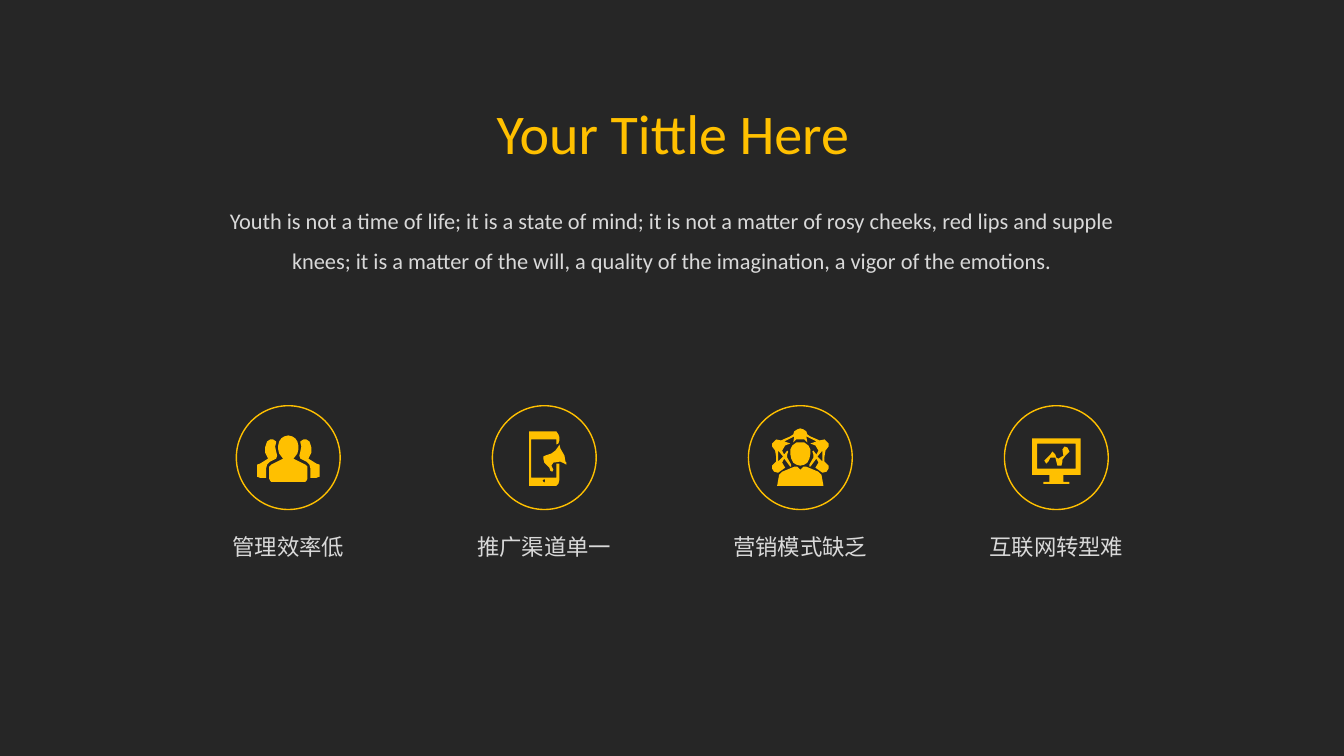
from dataclasses import dataclass

from lxml import etree
from pptx import Presentation
from pptx import util as u
from pptx.dml.color import RGBColor
from pptx.enum import shapes, text
from pptx.oxml import ns

Points = list[tuple[float, float]]
Outline = list[Points]  # the first contour is filled, the others are holes

CELL = u.Inches(0.1)  # columns and rows of the slide grid
ICON_UNIT = CELL / 10


@dataclass(frozen=True)
class Theme:
    background: RGBColor = RGBColor.from_string("262626")
    accent: RGBColor = RGBColor.from_string("FFC000")
    body: RGBColor = RGBColor.from_string("D9D9D9")
    latin_font: str = "Calibri"
    chinese_font: str = "Noto Sans CJK SC"
    title_size: int = 40
    body_size: int = 16


@dataclass(frozen=True)
class Problem:
    label: str
    icon: list[Outline]


THEME = Theme()
FIRST_CENTRE, CENTRE_STEP, CENTRE_ROW = 28.6, 25.4, 45.4
CIRCLE_SIZE = 10.3
LABEL_ROW, LABEL_WIDTH, LABEL_HEIGHT = 52.4, 21.2, 3.7


def flipped(points: Points) -> Points:
    return [(-x, y) for x, y in points]


def symmetric(half: Points) -> Points:
    """Close a right half, listed from top to bottom, with its mirror image."""
    return half + flipped(half)[::-1]


# Icon points are counted in icon units from the centre of the circle.
SIDE_PERSON = [(31, 19), (28, 20), (22, 20), (22, 11), (21, 7), (18, 4), (12, 1),
               (11, -2), (12, -6), (13, -11), (12, -15), (12, -16), (15, -18),
               (18, -18), (21, -16), (23, -10), (23, -5), (20, 1), (28, 6), (31, 7)]
FRONT_PERSON = symmetric([
    (0, -22), (4, -21), (7, -19), (9, -16), (10, -12), (10, -8), (9, -4), (6, 0),
    (5, 1), (17, 7), (19, 9), (19, 21), (18, 23), (17, 24), (0, 24)])

PHONE = [(12, -26), (14, -23), (15, -20), (15, -17), (14, -14), (12, -13),
         (12, -18), (-13, -18), (-13, 20), (12, 20), (12, 6), (15, 6), (15, 22),
         (14, 26), (12, 28), (-15, 28), (-15, -26)]
PHONE_BUTTON = [(0, 21), (-2, 23), (0, 25), (1, 23)]
MEGAPHONE = [(22, 7), (20, 6), (16, 4), (9, 5), (7, 8), (9, 12), (8, 14), (6, 13),
             (5, 10), (2, 7), (0, 5), (-1, 1), (-1, -1), (1, -2), (7, -4), (11, -7),
             (14, -11), (15, -13), (16, -9), (20, -2), (21, 4), (22, 5)]

NETWORK = symmetric([
    (0, -29), (3, -28), (6, -26), (7, -23), (10, -21), (17, -18), (19, -17),
    (24, -18), (28, -14), (28, -11), (25, -7), (24, -1), (24, 4), (25, 5), (28, 8),
    (28, 11), (26, 14), (22, 15), (15, 10), (18, 5), (16, 1), (10, 9), (9, 9),
    (9, 7), (13, 0), (13, -3), (12, -6), (13, -7), (16, -3), (18, -7), (15, -12),
    (10, -14), (16, -16), (6, -21), (7, -15), (4, -18), (0, -18)])
NETWORK_GAP = [(22, -7), (17, -1), (22, 4)]
NETWORK_BODY = symmetric([(0, 12), (3, 9), (6, 9), (18, 14), (21, 17), (23, 28), (0, 28)])
NETWORK_HEAD = symmetric([(0, -15), (4, -15), (8, -12), (10, -8), (10, -4), (9, 1),
                          (7, 5), (4, 7), (0, 8)])

MONITOR = symmetric([(0, -19), (24, -19), (24, 17), (7, 17), (7, 24), (13, 24),
                     (13, 26), (0, 26)])
SCREEN = symmetric([(0, -14), (19, -14), (19, 11), (0, 11)])
GRAPH = [(-6, 0), (-8, 4), (-10, 6), (-12, 3), (-10, 1), (-6, -3), (-4, -6), (-1, -3),
         (0, 0), (2, 1), (7, -2), (6, -8), (8, -11), (11, -10), (13, -6), (9, -2),
         (6, 2), (6, 4), (5, 8), (1, 8), (0, 4), (-1, 0), (-3, 0)]

PROBLEMS = [
    Problem("管理效率低", [[FRONT_PERSON], [SIDE_PERSON], [flipped(SIDE_PERSON)]]),
    Problem("推广渠道单一", [[PHONE, PHONE_BUTTON], [MEGAPHONE]]),
    Problem("营销模式缺乏", [[NETWORK, NETWORK_GAP, flipped(NETWORK_GAP)],
                       [NETWORK_BODY], [NETWORK_HEAD]]),
    Problem("互联网转型难", [[MONITOR, SCREEN], [GRAPH]]),
]


def cells(*counts: float) -> list[u.Emu]:
    return [u.Emu(round(count * CELL)) for count in counts]


def write(shape, words: str, size: int, color: RGBColor, font_name: str,
          line_spacing: float = 1.0) -> None:
    frame = shape.text_frame
    frame.word_wrap = True
    frame.auto_size = text.MSO_AUTO_SIZE.NONE
    frame.vertical_anchor = text.MSO_ANCHOR.TOP
    paragraph = frame.paragraphs[0]
    properties = paragraph._p.get_or_add_pPr()
    properties.set("marL", "0")
    properties.set("indent", "0")
    etree.SubElement(properties, ns.qn("a:buNone"))
    paragraph.alignment = text.PP_ALIGN.CENTER
    paragraph.space_before = u.Pt(0)
    paragraph.line_spacing = line_spacing
    run = paragraph.add_run()
    run.text = words
    run.font.size = u.Pt(size)
    run.font.color.rgb = color
    run.font.name = font_name
    east_asian = etree.SubElement(run._r.get_or_add_rPr(), ns.qn("a:ea"))
    east_asian.set("typeface", font_name)


def place(shape, left: float, top: float, width: float, height: float) -> None:
    shape.left, shape.top, shape.width, shape.height = cells(left, top, width, height)


def draw_outline(slide, outline: Outline, centre: float) -> None:
    first, *holes = outline
    builder = slide.shapes.build_freeform(*first[0], scale=ICON_UNIT)
    builder.add_line_segments(first[1:], close=True)
    for hole in holes:
        builder.move_to(*hole[0])
        builder.add_line_segments(hole[1:], close=True)
    shape = builder.convert_to_shape(*cells(centre, CENTRE_ROW))
    shape.shadow.inherit = False
    shape.fill.solid()
    shape.fill.fore_color.rgb = THEME.accent
    shape.line.fill.background()


def draw_problem(slide, problem: Problem, centre: float) -> None:
    circle = slide.shapes.add_shape(
        shapes.MSO_SHAPE.OVAL,
        *cells(centre - CIRCLE_SIZE / 2, CENTRE_ROW - CIRCLE_SIZE / 2,
               CIRCLE_SIZE, CIRCLE_SIZE))
    circle.shadow.inherit = False
    circle.fill.background()
    circle.line.color.rgb = THEME.accent
    circle.line.width = u.Pt(1)
    for outline in problem.icon:
        draw_outline(slide, outline, centre)
    label = slide.shapes.add_textbox(
        *cells(centre - LABEL_WIDTH / 2, LABEL_ROW, LABEL_WIDTH, LABEL_HEIGHT))
    write(label, problem.label, THEME.body_size, THEME.body, THEME.chinese_font)


def main() -> None:
    presentation = Presentation()
    presentation.slide_width, presentation.slide_height = cells(133.33, 75)
    slide = presentation.slides.add_slide(presentation.slide_layouts[1])
    slide.background.fill.solid()
    slide.background.fill.fore_color.rgb = THEME.background

    title, body = slide.shapes.title, slide.placeholders[1]
    place(title, 44.2, 9.3, 45.1, 7.7)
    write(title, "Your Tittle Here", THEME.title_size, THEME.accent, THEME.latin_font)
    place(body, 19.3, 18.7, 94.7, 8.7)
    write(body, "Youth is not a time of life; it is a state of mind; it is not a matter "
                "of rosy cheeks, red lips and supple knees; it is a matter of the will, "
                "a quality of the imagination, a vigor of the emotions.",
          THEME.body_size, THEME.body, THEME.latin_font, line_spacing=1.5)

    for index, problem in enumerate(PROBLEMS):
        draw_problem(slide, problem, FIRST_CENTRE + index * CENTRE_STEP)
    presentation.save("out.pptx")


if __name__ == "__main__":
    main()
